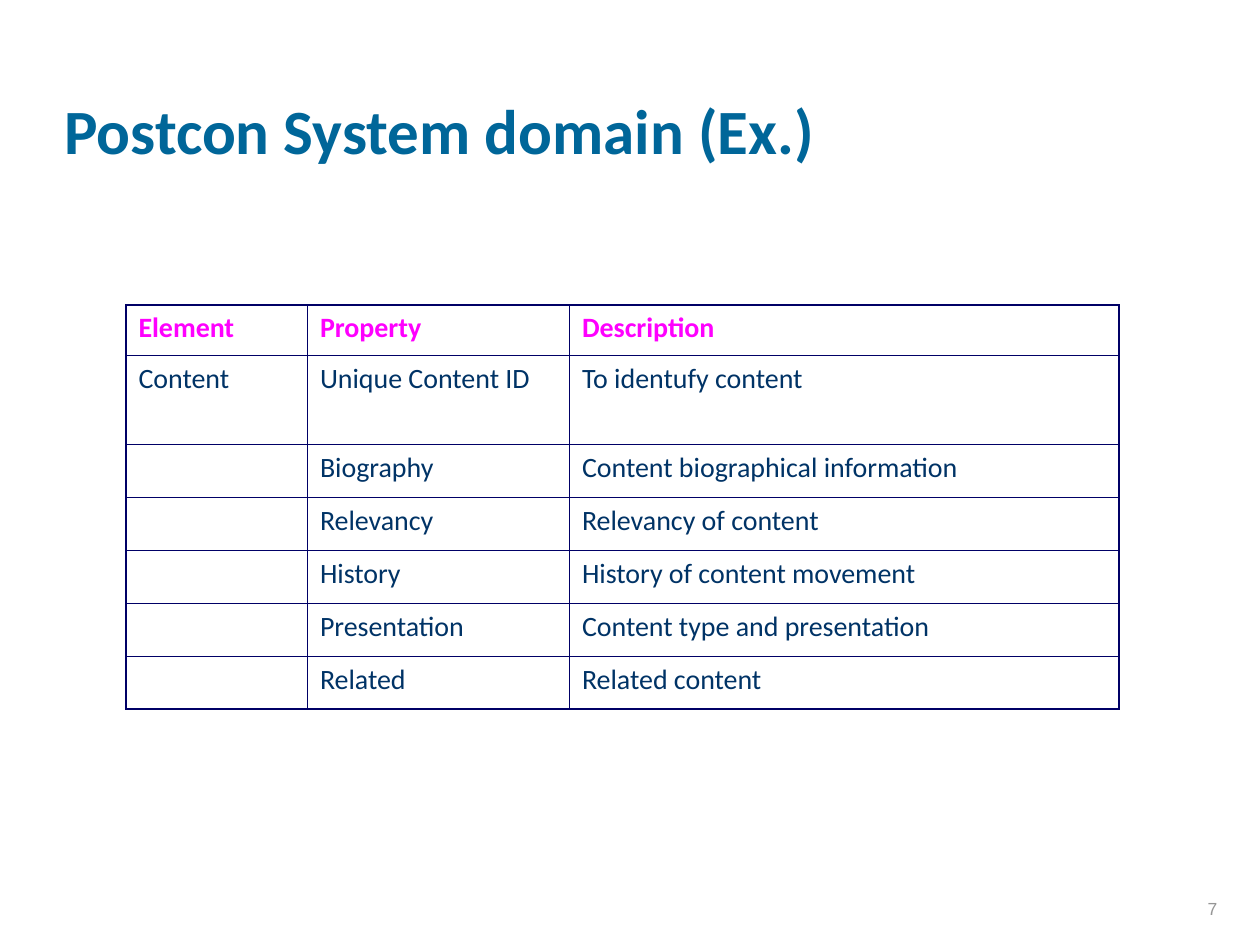
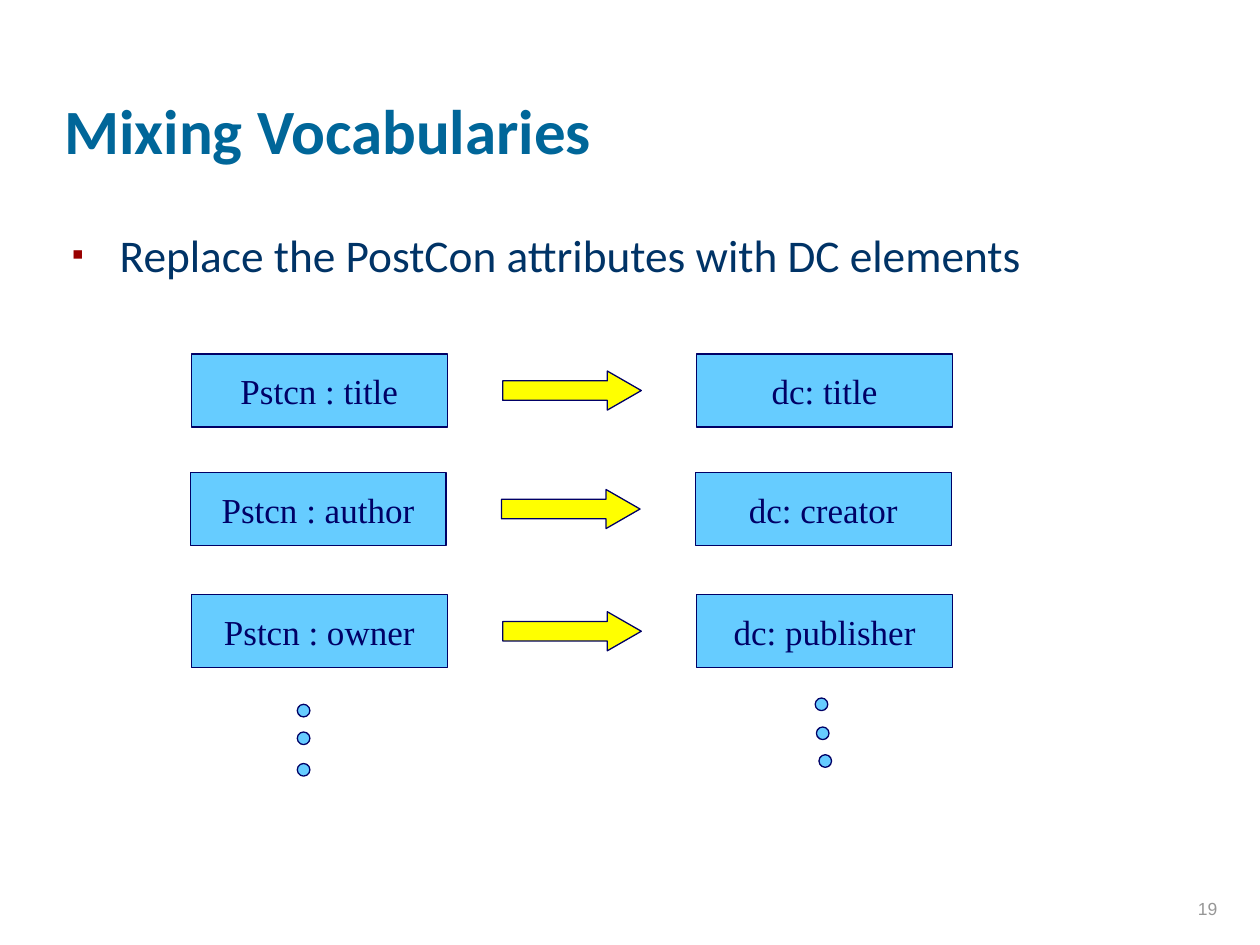
from dataclasses import dataclass

from lxml import etree
from pptx import Presentation
from pptx.dml.color import RGBColor
from pptx.enum.shapes import MSO_SHAPE
from pptx.enum.text import MSO_ANCHOR, MSO_AUTO_SIZE, PP_ALIGN
from pptx.oxml.ns import qn
from pptx.util import Emu, Inches, Pt

RECT, ARROW, DOT = MSO_SHAPE.RECTANGLE, MSO_SHAPE.RIGHT_ARROW, MSO_SHAPE.OVAL
LEFT, CENTER, RIGHT = PP_ALIGN.LEFT, PP_ALIGN.CENTER, PP_ALIGN.RIGHT
TOP, MIDDLE, BOTTOM = MSO_ANCHOR.TOP, MSO_ANCHOR.MIDDLE, MSO_ANCHOR.BOTTOM


@dataclass(frozen=True)
class Theme:
    title: str = "006699"
    text: str = "003366"
    header: str = "FF00FF"
    line: str = "000066"
    box: str = "66CCFF"
    arrow: str = "FFFF00"
    bullet: str = "990000"
    number: str = "969696"
    sans: str = "Calibri"
    serif: str = "Times New Roman"
    small: str = "Arial"
    title_size: float = 36
    body_size: float = 25.9
    box_size: float = 20
    cell_size: float = 16
    number_size: float = 10
    thin: float = 0.45
    thick: float = 1.08
    outline: float = 0.75


T = Theme()


def write(tf, text, size, color, font=T.sans, bold=False, align=LEFT,
          anchor=TOP, wrap=True):
    tf.word_wrap = wrap
    tf.vertical_anchor = anchor
    p = tf.paragraphs[0]
    p.alignment = align
    p.space_before = Pt(0)
    r = p.add_run()
    r.text = text
    r.font.size, r.font.name, r.font.bold = Pt(size), font, bold
    r.font.color.rgb = RGBColor.from_string(color)
    return p


def draw(slide, kind, x, y, w, h, fill):
    """Add an outlined, filled preset shape without a shadow."""
    sp = slide.shapes.add_shape(kind, Inches(x), Inches(y), Inches(w), Inches(h))
    sp.shadow.inherit = False
    sp.fill.solid()
    sp.fill.fore_color.rgb = RGBColor.from_string(fill)
    sp.line.color.rgb = RGBColor.from_string(T.line)
    sp.line.width = Pt(T.outline)
    return sp


prs = Presentation()
prs.slide_width, prs.slide_height = Inches(10), Inches(7.5)

# Shared title and slide number
slides = []
for layout, title, number in ((5, "Postcon System domain (Ex.)", "7"),
                              (1, "Mixing Vocabularies", "19")):
    slide = prs.slides.add_slide(prs.slide_layouts[layout])
    sp = slide.shapes.title
    sp.left, sp.top, sp.width, sp.height = map(Inches, (0.44, 0.12, 8.5, 1.25))
    tf = sp.text_frame
    tf.auto_size = MSO_AUTO_SIZE.NONE
    tf.margin_left, tf.margin_bottom = Inches(0.07), Inches(0.04)
    write(tf, title, T.title_size, T.title, bold=True, anchor=BOTTOM)
    sp = slide.shapes.add_textbox(*map(Inches, (7.68, 6.84, 2.08, 0.5)))
    write(sp.text_frame, number, T.number_size, T.number, font=T.small,
          align=RIGHT, anchor=BOTTOM)
    slides.append(slide)
domain_slide, mixing_slide = slides

# Domain table
rows = (
    ("Element", "Property", "Description"),
    ("Content", "Unique Content ID", "To identufy content"),
    ("", "Biography", "Content biographical information"),
    ("", "Relevancy", "Relevancy of content"),
    ("", "History", "History of content movement"),
    ("", "Presentation", "Content type and presentation"),
    ("", "Related", "Related content"),
)
col_widths = (1.44, 2.08, 4.36)
row_heights = (0.4, 0.71) + (0.42,) * 5
table = domain_slide.shapes.add_table(
    len(rows), len(col_widths), Inches(1), Inches(2.42),
    Inches(sum(col_widths)), Inches(sum(row_heights))).table
table.first_row = table.horz_banding = False
for column, width in zip(table.columns, col_widths):
    column.width = Inches(width)
for i, (row, height) in enumerate(zip(rows, row_heights)):
    table.rows[i].height = Inches(height)
    for j, text in enumerate(row):
        cell = table.cell(i, j)
        tcPr = cell._tc.get_or_add_tcPr()
        edges = {"lnL": j == 0, "lnR": j == len(row) - 1,
                 "lnT": i == 0, "lnB": i == len(rows) - 1}
        for tag, outer in edges.items():
            width = Pt(T.thick if outer else T.thin)
            ln = etree.SubElement(tcPr, qn("a:" + tag), w=str(width))
            fill = etree.SubElement(ln, qn("a:solidFill"))
            etree.SubElement(fill, qn("a:srgbClr"), val=T.line)
        cell.fill.background()
        if text:
            write(cell.text_frame, text, T.cell_size,
                  T.header if i == 0 else T.text, bold=i == 0)

# Bullet line
body = mixing_slide.placeholders[1]
body.left, body.top, body.width, body.height = map(Inches, (0.5, 1.75, 8.94, 0.85))
tf = body.text_frame
tf.auto_size = MSO_AUTO_SIZE.NONE
tf.margin_left = Inches(0.07)
p = write(tf, "Replace the PostCon attributes with DC elements", T.body_size, T.text)
pPr = p._p.get_or_add_pPr()
indent = Inches(0.38)
pPr.set("marL", str(indent))
pPr.set("indent", str(Emu(-indent)))
color = etree.SubElement(pPr, qn("a:buClr"))
etree.SubElement(color, qn("a:srgbClr"), val=T.bullet)
etree.SubElement(pPr, qn("a:buSzPct"), val="75000")
etree.SubElement(pPr, qn("a:buFont"), typeface=T.small)
etree.SubElement(pPr, qn("a:buChar"), char="▪")

# Attribute pairs
BOX_W, BOX_H, PITCH = 2.03, 0.58, 4.01
ARROW_W, ARROW_H = 1.1, 0.31
pairs = (
    (1.52, 2.81, "Pstcn : title", "dc: title"),
    (1.51, 3.75, "Pstcn : author", "dc: creator"),
    (1.52, 4.72, "Pstcn : owner", "dc: publisher"),
)
for x, y, *names in pairs:
    for column, name in enumerate(names):
        sp = draw(mixing_slide, RECT, x + column * PITCH, y, BOX_W, BOX_H, T.box)
        write(sp.text_frame, name, T.box_size, T.line, font=T.serif,
              align=CENTER, anchor=MIDDLE, wrap=False)
    arrow = draw(mixing_slide, ARROW, x + (PITCH + BOX_W - ARROW_W) / 2,
                 y + (BOX_H - ARROW_H) / 2, ARROW_W, ARROW_H, T.arrow)
    arrow.adjustments[0], arrow.adjustments[1] = 0.5, 0.87

# Continuation dots
for x, y in ((2.36, 5.59), (2.36, 5.81), (2.36, 6.06),
             (6.47, 5.54), (6.48, 5.77), (6.5, 5.99)):
    draw(mixing_slide, DOT, x, y, 0.1, 0.1, T.box)

prs.save("out.pptx")
